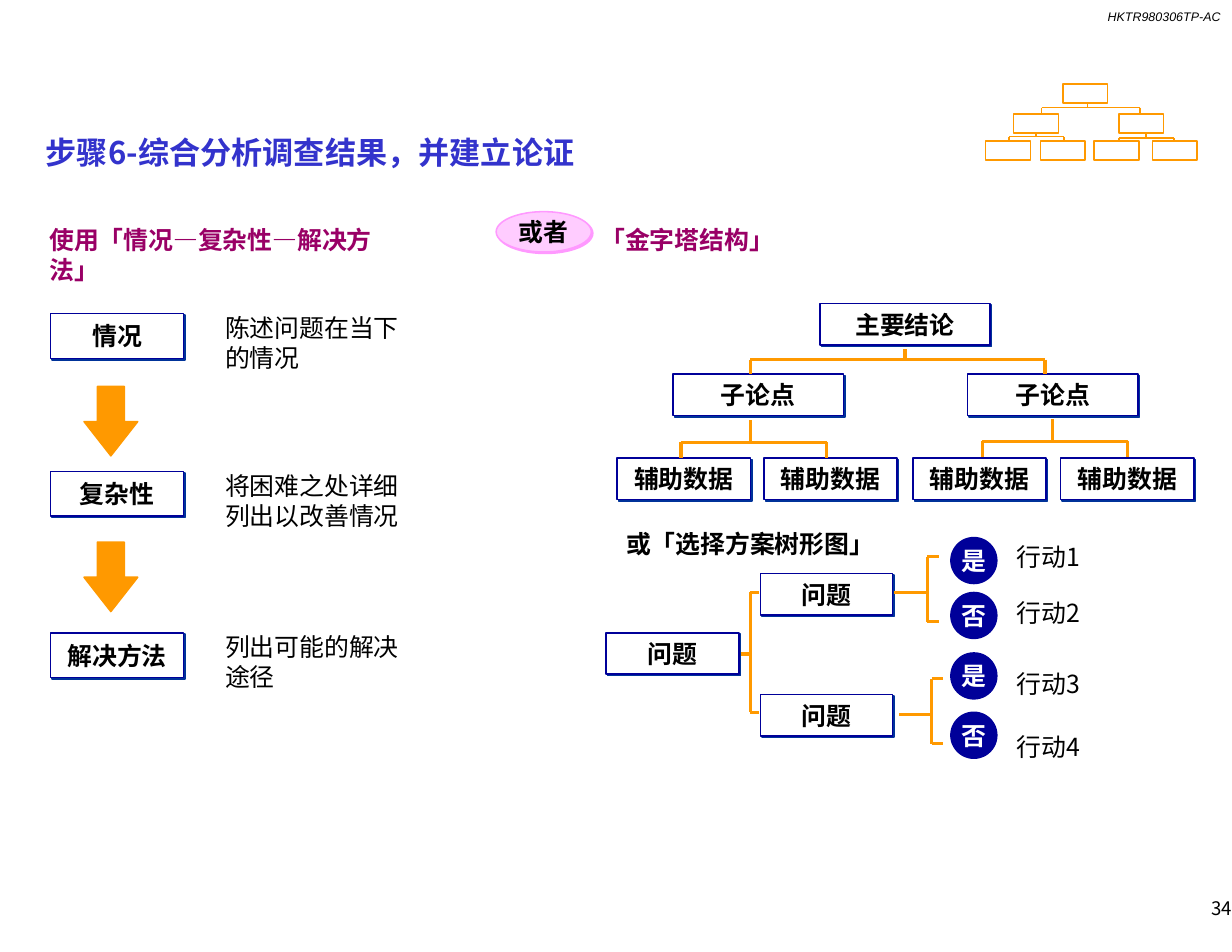
from pptx import Presentation
from pptx.dml.color import RGBColor
from pptx.enum.shapes import MSO_CONNECTOR, MSO_SHAPE
from pptx.enum.text import MSO_ANCHOR, PP_ALIGN
from pptx.oxml.ns import qn
from pptx.util import Inches, Pt
from lxml.etree import SubElement

COLORS = {
    "ink": "000000", "white": "FFFFFF", "title": "3333CC", "head": "990066",
    "navy": "000099", "shade": "003399", "orange": "FF9900",
    "pink": "FFCCFF", "rose": "FF99FF",
}
CJK = "Noto Sans CJK SC"

# text, left, top, width, height, format
LABELS = [
    ("HKTR980306TP-AC", 9.09, 0.08, 1.81, 0.13,
     {"size": 8, "name": "Arial", "italic": True, "align": PP_ALIGN.RIGHT}),
    ("步骤6-综合分析调查结果，并建立论证", 0.41, 1.19, 8.93, 0.33,
     {"size": 20, "bold": True, "color": "title"}),
    ("使用「情况—复杂性—解决方法」", 0.44, 2.01, 2.91, 0.53,
     {"bold": True, "color": "head"}),
    ("「金字塔结构」", 5.36, 2.01, 1.98, 0.27, {"bold": True, "color": "head"}),
    ("或「选择方案树形图」", 5.59, 4.72, 2.87, 0.27, {"bold": True}),
    ("34", 8.75, 7.99, 2.25, 0.24,
     {"size": 12, "align": PP_ALIGN.RIGHT, "anchor": MSO_ANCHOR.MIDDLE}),
]

# box text, explanation, top of the box
STEPS = [
    ("情况", "陈述问题在当下的情况", 2.8),
    ("复杂性", "将困难之处详细列出以改善情况", 4.21),
    ("解决方法", "列出可能的解决途径", 5.65),
]
ARROWS = [3.45, 4.84]

# text, top, width, lefts
TIERS = [
    ("主要结论", 2.71, 1.52, [7.32]),
    ("子论点", 3.34, 1.52, [6.01, 8.64]),
    ("辅助数据", 4.09, 1.19, [5.51, 6.82, 8.15, 9.47]),
    ("问题", 5.65, 1.19, [5.41]),
    ("问题", 5.12, 1.18, [6.79]),
    ("问题", 6.2, 1.18, [6.79]),
]

# answer, its top, action, its top
ACTIONS = [
    ("是", 4.8, "行动1", 4.84),
    ("否", 5.29, "行动2", 5.34),
    ("是", 5.83, "行动3", 5.97),
    ("否", 6.36, "行动4", 6.53),
]

# top, lefts of the small pyramid's boxes
MINI = [(0.75, [9.49]), (1.02, [9.05, 9.99]), (1.26, [8.8, 9.29, 9.77, 10.29])]

# stem, start, bar, end, first branch, last branch
DOWN = [
    (8.08, 3.12, 3.21, 3.34, 6.7, 9.33),
    (6.7, 3.75, 3.95, 4.09, 6.08, 7.38),
    (9.4, 3.74, 3.94, 4.08, 8.77, 10.07),
]
SIDE = [
    (5.84, 6.62, 6.7, 6.78, 5.29, 6.36),
    (5.29, 7.98, 8.28, 8.38, 4.97, 5.55),
    (6.38, 8.03, 8.32, 8.42, 6.06, 6.64),
]
SMALL = [
    (9.71, 0.92, 0.96, 1.01, 9.3, 10.18),
    (9.25, 1.19, 1.22, 1.26, 9.01, 9.5),
    (10.23, 1.19, 1.23, 1.26, 9.99, 10.48),
]

deck = Presentation()
deck.slide_width, deck.slide_height = Inches(11), Inches(8.5)
slide = deck.slides.add_slide(deck.slide_layouts[6])
shapes = slide.shapes


def rgb(key):
    return RGBColor.from_string(COLORS[key])


def write(frame, text, size=16, name=CJK, color="ink",
          align=PP_ALIGN.LEFT, **style):
    para = frame.paragraphs[0]
    para.alignment = align
    run = para.add_run()
    run.text = text
    for key, val in {"size": Pt(size), "name": name, **style}.items():
        setattr(run.font, key, val)
    run.font.color.rgb = rgb(color)
    SubElement(run.font._element, qn("a:ea"), typeface=CJK)


def label(text, x, y, w, h, anchor=MSO_ANCHOR.TOP, **style):
    frame = shapes.add_textbox(*map(Inches, (x, y, w, h))).text_frame
    for side in ("left", "top", "right", "bottom"):
        setattr(frame, "margin_" + side, 0)
    frame.word_wrap = True
    frame.vertical_anchor = anchor
    write(frame, text, **style)


def block(kind, x, y, w, h, fill, line, text="", color="ink", shade=None):
    shape = shapes.add_shape(kind, *map(Inches, (x, y, w, h)))
    shape.fill.solid()
    shape.fill.fore_color.rgb = rgb(fill)
    shape.line.color.rgb = rgb(line)
    shape.line.width = Pt(1)
    shape.shadow.inherit = False
    if shade:
        effects = shape._element.spPr.find(qn("a:effectLst"))
        cast = SubElement(effects, qn("a:outerShdw"), blurRad="0",
                          dist=str(Pt(1.4)), dir="2700000",
                          algn="ctr", rotWithShape="0")
        SubElement(cast, qn("a:srgbClr"), val=COLORS[shade])
    if text:
        frame = shape.text_frame
        frame.word_wrap = False
        frame.vertical_anchor = MSO_ANCHOR.MIDDLE
        write(frame, text, color=color, align=PP_ALIGN.CENTER, bold=True)
    return shape


def card(text, x, y, w, h):
    block(MSO_SHAPE.RECTANGLE, x, y, w, h, "white", "navy", text, shade="shade")


def fork(stem, start, bar, end, first, last, side=False, width=2):
    """Draw a stem, a crossbar and two branches, downwards or sideways."""
    parts = [(stem, start, stem, bar), (first, bar, last, bar),
             (first, bar, first, end), (last, bar, last, end)]
    for a, b, c, d in parts:
        ends = (b, a, d, c) if side else (a, b, c, d)
        line = shapes.add_connector(MSO_CONNECTOR.STRAIGHT, *map(Inches, ends))
        line.line.color.rgb = rgb("orange")
        line.line.width = Pt(width)
        SubElement(line._element.spPr, qn("a:effectLst"))


for *place, style in LABELS:
    label(*place, **style)

for name, note, y in STEPS:
    card(name, 0.45, y, 1.19, 0.4)
    label(note, 2.01, y - 0.01, 1.75, 0.53)
for y in ARROWS:
    arrow = block(MSO_SHAPE.DOWN_ARROW, 0.75, y, 0.48, 0.62, "orange", "orange")
    arrow.adjustments[0], arrow.adjustments[1] = 0.5, 0.638

block(MSO_SHAPE.OVAL, 4.43, 1.89, 0.85, 0.36, "pink", "rose", "或者", shade="rose")

for text, y, w, lefts in TIERS:
    for x in lefts:
        card(text, x, y, w, 0.37)
for y, lefts in MINI:
    for x in lefts:
        block(MSO_SHAPE.RECTANGLE, x, y, 0.4, 0.17, "white", "orange")

for spots, style in ((DOWN, {}), (SIDE, {"side": True}), (SMALL, {"width": 1})):
    for spot in spots:
        fork(*spot, **style)

for reply, top, action, y in ACTIONS:
    block(MSO_SHAPE.OVAL, 8.49, top, 0.41, 0.41, "navy", "navy", reply, "white")
    label(action, 9.08, y, 0.89, 0.27)

deck.save("out.pptx")
